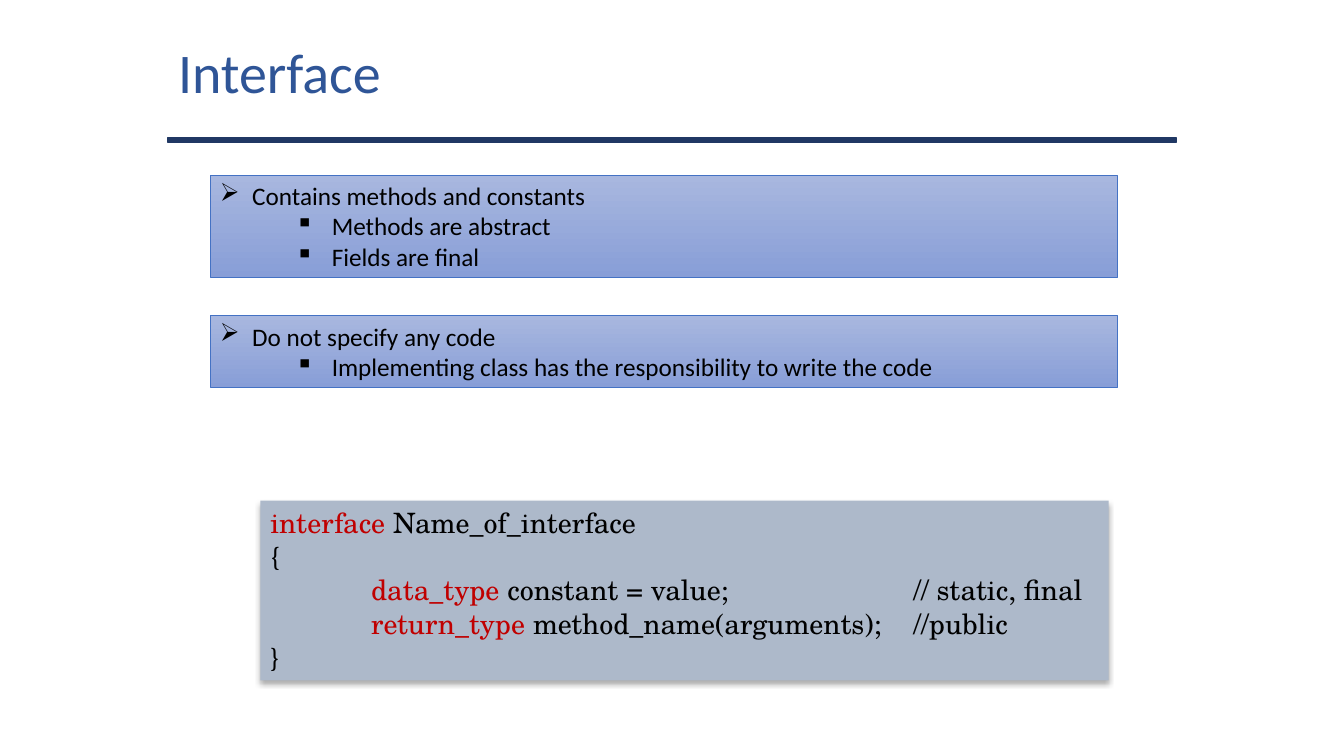
from dataclasses import dataclass

from pptx import Presentation
from pptx.dml.color import RGBColor
from pptx.enum.shapes import MSO_SHAPE
from pptx.enum.text import MSO_ANCHOR, MSO_AUTO_SIZE, PP_ALIGN
from pptx.oxml import parse_xml
from pptx.oxml.ns import nsdecls
from pptx.oxml.xmlchemy import OxmlElement
from pptx.util import Emu, Inches, Pt

NAVY = RGBColor(0x20, 0x38, 0x64)
TITLE_BLUE = RGBColor(0x2F, 0x55, 0x97)
EDGE_BLUE = RGBColor(0x44, 0x72, 0xC4)
PANEL_TOP = RGBColor(0xA8, 0xB7, 0xDF)
PANEL_BOTTOM = RGBColor(0x88, 0x9E, 0xD7)
CODE_GREY = RGBColor(0xAD, 0xB9, 0xCA)
KEYWORD_RED = RGBColor(0xC0, 0x00, 0x00)
BLACK = RGBColor(0, 0, 0)

GRID_STEP = Inches(1) // 12
COLUMNS, ROWS = 160, 90


@dataclass(frozen=True)
class Area:
    """A rectangle in grid columns and rows."""
    column: float
    row: float
    columns: float
    rows: float

    def lengths(self) -> list[Emu]:
        """Return left, top, width and height."""
        return [Emu(round(steps * GRID_STEP))
                for steps in (self.column, self.row, self.columns, self.rows)]


@dataclass(frozen=True)
class Style:
    """The look of a run of text."""
    font: str
    size: int
    color: RGBColor


@dataclass(frozen=True)
class Bullet:
    """A bullet sign with its text indent and hanging width in inches."""
    sign: str
    indent: float
    hanging: float


@dataclass(frozen=True)
class Panel:
    """A shaded panel holding one point and its details."""
    area: Area
    point: str
    details: tuple[str, ...]


TITLE = Style("Calibri", 40, TITLE_BLUE)
BODY = Style("Calibri", 18, BLACK)
CODE = Style("TeX Gyre Schola", 20, BLACK)
KEYWORD = Style("TeX Gyre Schola", 20, KEYWORD_RED)

POINT_BULLET = Bullet("➢", 0.32, 0.32)
DETAIL_BULLET = Bullet("▪", 1.11, 0.36)

PANELS = (
    Panel(Area(25, 20.9, 108, 12.1), "Contains methods and constants",
          ("Methods are abstract", "Fields are final")),
    Panel(Area(25, 37.6, 108, 8.5), "Do not specify any code",
          ("Implementing class has the responsibility to write the code",)),
)

CODE_TABS = (1, 6.38)
CODE_LINES = (
    (("interface", KEYWORD), (" Name_of_interface", CODE)),
    (("{", CODE),),
    (("\t", CODE), ("data_type", KEYWORD),
     (" constant = value;\t// static, final", CODE)),
    (("\t", CODE), ("return_type ", KEYWORD),
     ("method_name(arguments);\t//public", CODE)),
    (("}", CODE),),
)


def add_span(para, text: str, style: Style) -> None:
    """Add one styled run to a paragraph."""
    span = para.add_run()
    span.text = text
    font = span.font
    font.name, font.size = style.font, Pt(style.size)
    font.color.rgb = style.color


def next_para(frame, index: int):
    """Return the first paragraph of a frame or a new one after it."""
    para = frame.add_paragraph() if index else frame.paragraphs[0]
    para.alignment = PP_ALIGN.LEFT
    return para


def set_bullet(para, bullet: Bullet) -> None:
    """Give a paragraph a bullet with a hanging indent."""
    properties = para._p.get_or_add_pPr()
    properties.set("marL", str(Inches(bullet.indent)))
    properties.set("indent", str(-Inches(bullet.hanging)))
    sign = OxmlElement("a:buChar")
    sign.set("char", bullet.sign)
    properties.append(sign)


def set_tabs(para, stops: tuple[float, ...]) -> None:
    """Give a paragraph left tab stops in inches."""
    tabs = OxmlElement("a:tabLst")
    for stop in stops:
        tab = OxmlElement("a:tab")
        tab.set("pos", str(Inches(stop)))
        tab.set("algn", "l")
        tabs.append(tab)
    para._p.get_or_add_pPr().append(tabs)


def add_box(page, area: Area):
    """Add a rectangle without shadow, its text starting at the top."""
    box = page.shapes.add_shape(MSO_SHAPE.RECTANGLE, *area.lengths())
    box.shadow.inherit = False
    frame = box.text_frame
    frame.word_wrap = True
    frame.vertical_anchor = MSO_ANCHOR.TOP
    return box


def add_title(page, text: str) -> None:
    """Place and fill the title placeholder."""
    title = page.shapes.title
    title.left, title.top, title.width, title.height = Area(20, 0, 94, 17).lengths()
    title.text_frame.vertical_anchor = MSO_ANCHOR.MIDDLE
    add_span(next_para(title.text_frame, 0), text, TITLE)


def add_rule(page) -> None:
    """Add the rule under the title."""
    rule = add_box(page, Area(20, 16.4, 120, 0.6))
    rule.fill.solid()
    rule.fill.fore_color.rgb = NAVY
    rule.line.color.rgb = NAVY
    rule.line.width = Pt(1)


def add_panel(page, panel: Panel) -> None:
    """Add a shaded panel with its bulleted text."""
    box = add_box(page, panel.area)
    box.fill.gradient()
    box.fill.gradient_angle = 270
    for stop, color in zip(box.fill.gradient_stops, (PANEL_TOP, PANEL_BOTTOM)):
        stop.color.rgb = color
    box.line.color.rgb = EDGE_BLUE
    box.line.width = Pt(0.5)
    box.text_frame.auto_size = MSO_AUTO_SIZE.SHAPE_TO_FIT_TEXT
    for index, text in enumerate((panel.point, *panel.details)):
        para = next_para(box.text_frame, index)
        para.level = 1 if index else 0
        set_bullet(para, DETAIL_BULLET if index else POINT_BULLET)
        add_span(para, text, BODY)


def add_code(page) -> None:
    """Add the code listing on a box with a soft shadow."""
    box = add_box(page, Area(31, 59.6, 101, 21.4))
    box.fill.solid()
    box.fill.fore_color.rgb = CODE_GREY
    box.line.fill.background()
    shadow = parse_xml(
        f'<a:outerShdw {nsdecls("a")} blurRad="{Pt(3.5)}" dist="{Pt(2.2)}" dir="5400000">'
        '<a:srgbClr val="000000"><a:alpha val="32000"/></a:srgbClr></a:outerShdw>')
    box._element.spPr.find("{*}effectLst").append(shadow)
    box.text_frame.auto_size = MSO_AUTO_SIZE.SHAPE_TO_FIT_TEXT
    for index, spans in enumerate(CODE_LINES):
        para = next_para(box.text_frame, index)
        set_tabs(para, CODE_TABS)
        for text, style in spans:
            add_span(para, text, style)


def main() -> None:
    """Build the slide and save it."""
    deck = Presentation()
    deck.slide_width, deck.slide_height = COLUMNS * GRID_STEP, ROWS * GRID_STEP
    page = deck.slides.add_slide(deck.slide_layouts[5])
    add_rule(page)
    add_title(page, "Interface")
    for panel in PANELS:
        add_panel(page, panel)
    add_code(page)
    deck.save("out.pptx")


if __name__ == "__main__":
    main()
